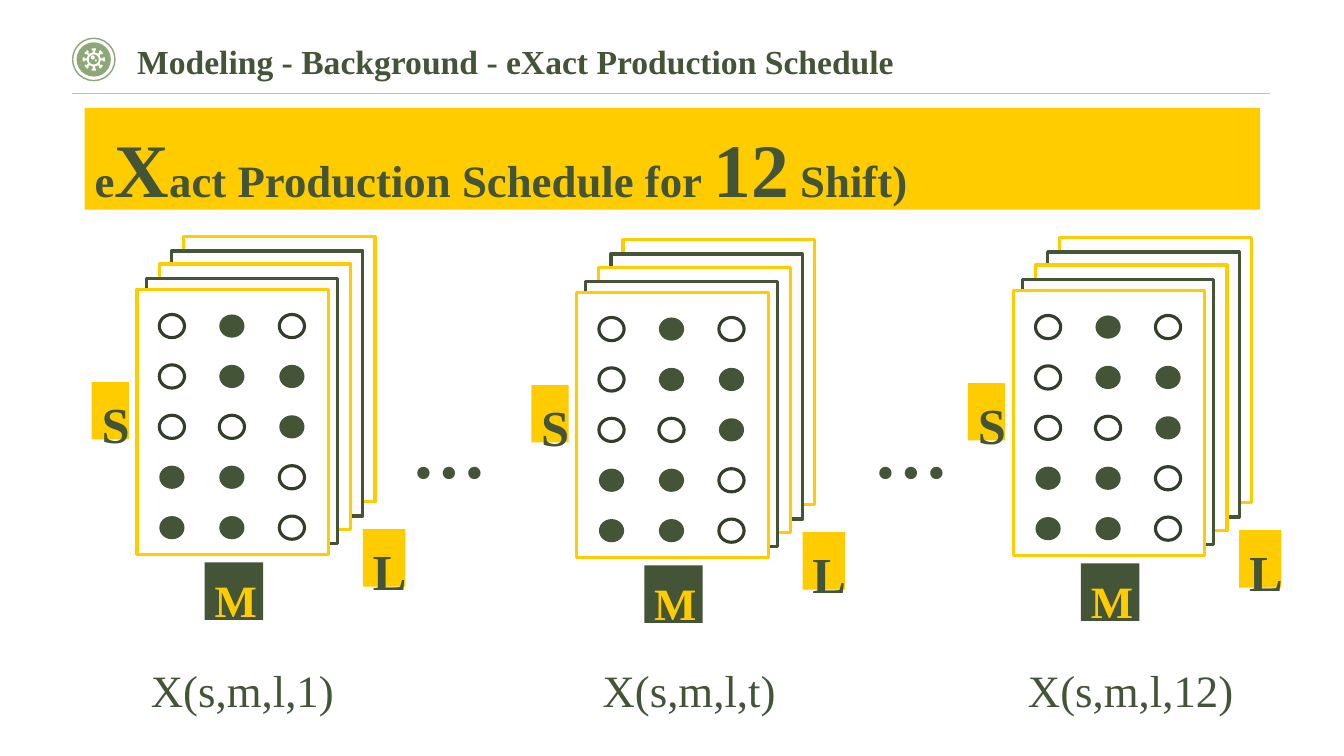
"""Build the slide on the exact production schedule for twelve shifts."""
from math import cos, pi, sin

from lxml.etree import SubElement
from pptx import Presentation
from pptx.dml.color import RGBColor
from pptx.enum.shapes import MSO_CONNECTOR, MSO_SHAPE
from pptx.enum.text import MSO_ANCHOR, MSO_AUTO_SIZE, PP_ALIGN
from pptx.oxml.ns import qn
from pptx.util import Inches, Pt

GREEN = RGBColor(0x44, 0x54, 0x37)
DARK_GREEN = RGBColor(0x32, 0x3E, 0x29)
SAGE = RGBColor(0x8D, 0xA7, 0x78)
YELLOW = RGBColor(0xFF, 0xCC, 0x00)
WHITE = RGBColor(0xFF, 0xFF, 0xFF)
OFF_WHITE = RGBColor(0xFD, 0xFC, 0xFB)
GREY = RGBColor(0xBF, 0xBF, 0xBF)


def draw(shapes, kind, box, fill=None, line=None, weight=2.25):
    shape = shapes.add_shape(kind, *map(Inches, box))
    shape.shadow.inherit = False
    if fill is None:
        shape.fill.background()
    else:
        shape.fill.solid()
        shape.fill.fore_color.rgb = fill
    if line is None:
        shape.line.fill.background()
    else:
        shape.line.color.rgb = line
        shape.line.width = Pt(weight)
    return shape


def write(shape, runs, align=PP_ALIGN.CENTER, color=GREEN, bold=True):
    frame = shape.text_frame
    frame.word_wrap = True
    frame.auto_size = MSO_AUTO_SIZE.NONE
    frame.vertical_anchor = MSO_ANCHOR.TOP
    paragraph = frame.paragraphs[0]
    paragraph.alignment = align
    paragraph.line_spacing = 1.1
    for text, size in runs:
        run = paragraph.add_run()
        run.text = text
        run.font.name = "Times New Roman"
        run.font.size = Pt(size)
        run.font.bold = bold
        run.font.color.rgb = color


presentation = Presentation()
presentation.slide_width = Inches(13.33)
presentation.slide_height = Inches(7.5)
slide = presentation.slides.add_slide(presentation.slide_layouts[5])

badge = slide.shapes.add_group_shape().shapes
draw(badge, MSO_SHAPE.OVAL, (0.72, 0.38, 0.42, 0.42), line=SAGE, weight=1)
draw(badge, MSO_SHAPE.OVAL, (0.76, 0.42, 0.34, 0.34), fill=SAGE)

TOOTH = [(0.07, -0.01), (0.09, -0.01), (0.09, -0.02), (0.11, -0.02),
         (0.11, 0.02), (0.09, 0.02), (0.09, 0.01), (0.07, 0.01)]
gear_x, gear_y = 0.93, 0.59
contours = [[(gear_x + out * cos(step * pi / 4) - side * sin(step * pi / 4),
              gear_y + out * sin(step * pi / 4) + side * cos(step * pi / 4))
             for step in range(8) for out, side in TOOTH]]
for x, y, radius in [(gear_x, gear_y, 0.05), (0.92, 0.57, 0.02), (0.95, 0.6, 0.01)]:
    contours.append([(x + radius * cos(step * pi / 12), y - radius * sin(step * pi / 12))
                     for step in range(24)])
outline = None
for contour in contours:
    points = [(Inches(x), Inches(y)) for x, y in contour]
    if outline is None:
        outline = badge.build_freeform(*points[0], scale=1.0)
    else:
        outline.move_to(*points[0])
    outline.add_line_segments(points[1:], close=True)
gear = outline.convert_to_shape()
gear.shadow.inherit = False
gear.fill.solid()
gear.fill.fore_color.rgb = WHITE
gear.line.fill.background()

header_rule = slide.shapes.add_connector(
    MSO_CONNECTOR.STRAIGHT, Inches(0.71), Inches(0.93), Inches(12.6), Inches(0.93))
header_rule.line.color.rgb = GREY
header_rule.line.width = Pt(0.5)
SubElement(header_rule._element.spPr, qn("a:effectLst"))

title = slide.shapes.title
title.left, title.top = Inches(1.36), Inches(0.32)
title.width, title.height = Inches(9.76), Inches(0.55)
title.text_frame.margin_left = 0
write(title, [("Modeling - Background - eXact Production Schedule", 24)], PP_ALIGN.LEFT)

banner = draw(slide.shapes, MSO_SHAPE.RECTANGLE, (0.84, 1.07, 11.66, 1.01), YELLOW)
write(banner, [("e", 32), ("X", 54), ("act Production Schedule for ", 32),
               ("12", 54), (" Shift)", 32)], PP_ALIGN.LEFT)

CARDS = [(0.46, -0.52, WHITE, YELLOW), (0.34, -0.38, OFF_WHITE, GREEN),
         (0.22, -0.25, WHITE, YELLOW), (0.09, -0.11, OFF_WHITE, GREEN),
         (0, 0, WHITE, YELLOW)]
SCHEDULE = ["010", "011", "001", "110", "110"]
AXES = [("M", 32, (0.67, 2.71, 0.58, 0.57), GREEN, YELLOW),
        ("S", 36, (-0.45, 0.92, 0.37, 0.57), YELLOW, GREEN),
        ("L", 36, (2.24, 2.38, 0.42, 0.57), YELLOW, GREEN)]

for left, top in [(1.36, 2.87), (5.72, 2.9), (10.05, 2.88)]:
    stack = slide.shapes.add_group_shape().shapes
    for dx, dy, fill, line in CARDS:
        draw(stack, MSO_SHAPE.RECTANGLE, (left + dx, top + dy, 1.9, 2.63), fill, line)
    for row, slots in enumerate(SCHEDULE):
        for column, used in enumerate(slots):
            box = (left + 0.22 + 0.595 * column, top + 0.25 + 0.5 * row, 0.25, 0.23)
            if used == "1":
                draw(stack, MSO_SHAPE.OVAL, box, fill=GREEN)
            else:
                draw(stack, MSO_SHAPE.OVAL, box, line=DARK_GREEN)
    for letter, size, (dx, dy, width, height), fill, color in AXES:
        axis = draw(stack, MSO_SHAPE.RECTANGLE, (left + dx, top + dy, width, height), fill)
        write(axis, [(letter, size)], color=color)

CAPTIONS = [("…", 54, (3.25, 3.86, 2.42, 0.99), True),
            ("…", 54, (7.83, 3.86, 2.42, 0.99), True),
            ("X(s,m,l,1)", 32, (1.21, 6.47, 2.39, 0.56), False),
            ("X(s,m,l,t)", 32, (5.64, 6.47, 2.39, 0.56), False),
            ("X(s,m,l,12)", 32, (9.83, 6.47, 2.77, 0.56), False)]
for text, size, box, bold in CAPTIONS:
    caption = slide.shapes.add_textbox(*map(Inches, box))
    write(caption, [(text, size)], bold=bold)

presentation.save("out.pptx")
